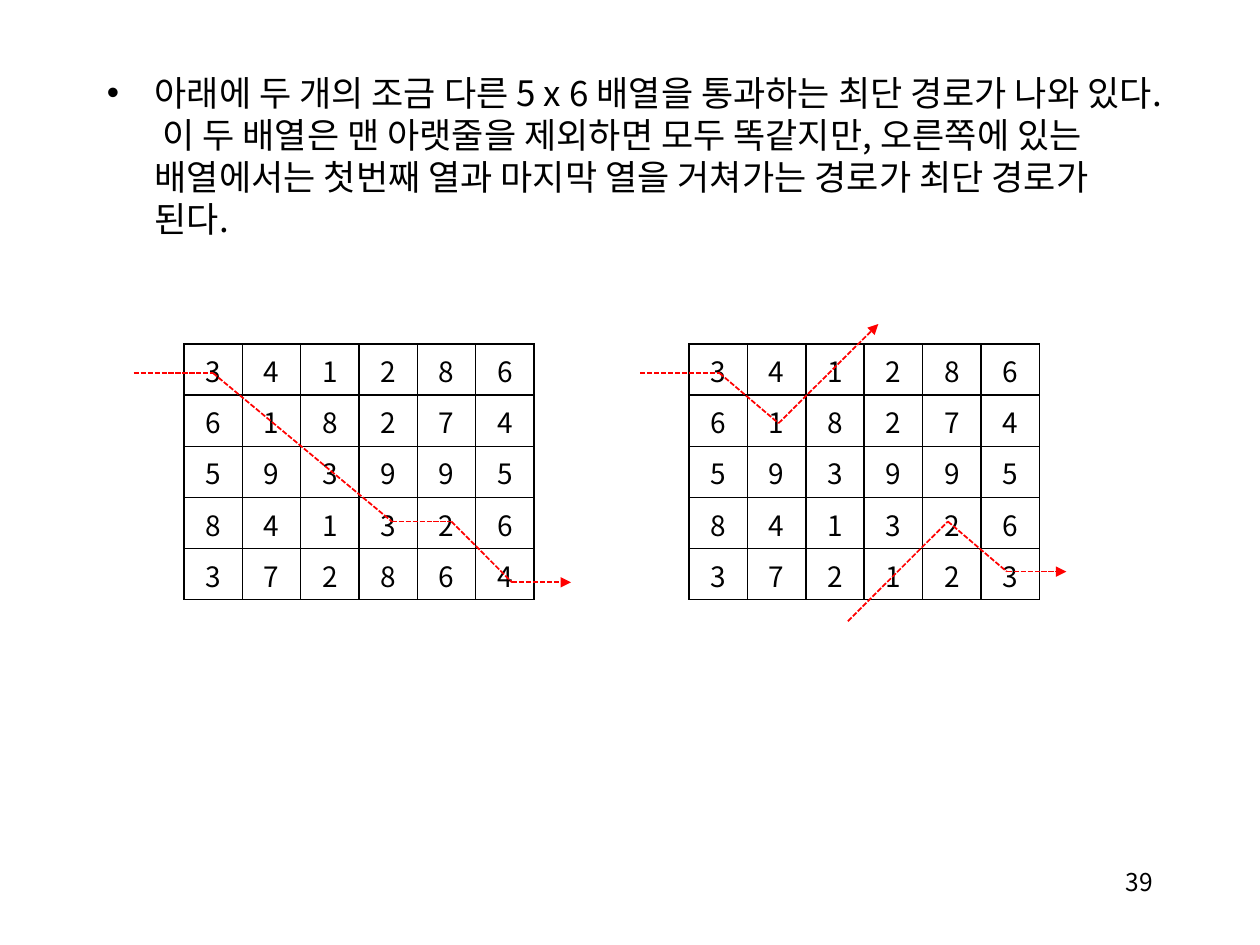
from itertools import pairwise
from lxml.etree import SubElement
from pptx import Presentation
from pptx.dml.color import RGBColor
from pptx.enum.dml import MSO_LINE_DASH_STYLE as Dash
from pptx.enum.shapes import MSO_CONNECTOR_TYPE as Connector
from pptx.enum.text import PP_ALIGN as Align
from pptx.oxml import parse_xml
from pptx.oxml.ns import nsdecls, qn
from pptx.util import Inches, Pt

COLORS = {"ink": "000000", "paper": "FFFFFF", "route": "FF0000"}
FONT = "Noto Sans CJK KR"
COLUMNS, ROWS = 6, 5
GRID_WIDTH, GRID_HEIGHT, GRID_TOP = 2.78, 2.03, 2.73
COLUMN, ROW = GRID_WIDTH / COLUMNS, GRID_HEIGHT / ROWS

presentation = Presentation()
presentation.slide_width = Inches(10)
presentation.slide_height = Inches(7.5)
slide = presentation.slides.add_slide(presentation.slide_layouts[6])


def add_text(paragraph, text, size, align):
    paragraph.alignment = align
    run = paragraph.add_run()
    run.text = text
    run.font.size = Pt(size)
    run.font.name = FONT
    run.font.color.rgb = RGBColor.from_string(COLORS["ink"])
    SubElement(run.font._element, qn("a:ea"), typeface=FONT)


def add_box(left, top, width, height):
    box = slide.shapes.add_textbox(*map(Inches, (left, top, width, height)))
    box.text_frame.word_wrap = True
    return box.text_frame.paragraphs[0]


statement = add_box(0.75, 0.52, 8.5, 6.3)
add_text(
    statement,
    "아래에 두 개의 조금 다른 5 x 6 배열을 통과하는 최단 경로가 나와 있다. "
    "이 두 배열은 맨 아랫줄을 제외하면 모두 똑같지만, 오른쪽에 있는 배열에서는 "
    "첫번째 열과 마지막 열을 거쳐가는 경로가 최단 경로가 된다.",
    20,
    Align.LEFT,
)
statement.line_spacing = Pt(24)
statement.space_before = Pt(4)
properties = statement._p.get_or_add_pPr()
properties.set("marL", str(Inches(0.38)))
properties.set("indent", str(-Inches(0.38)))
SubElement(properties, qn("a:buFont"), typeface="Arial")
SubElement(properties, qn("a:buChar"), char="•")

add_text(add_box(7.17, 6.83, 2.08, 0.5), "39", 14, Align.RIGHT)

shared_rows = ["341286", "618274", "593995", "841326"]
grids = [
    (1.46, "372864", [
        [(-0.86, 0.57), (0.5, 0.57), (3.56, 3.47), (4.58, 3.47), (5.62, 4.66), (6.63, 4.66)],
    ]),
    (5.47, "372123", [
        [(-0.84, 0.57), (0.52, 0.57), (1.53, 1.55), (3.24, -0.39)],
        [(2.72, 5.42), (4.43, 3.47), (5.44, 4.45), (6.46, 4.45)],
    ]),
]

for grid_left, last_row, routes in grids:
    table = slide.shapes.add_table(
        ROWS, COLUMNS, *map(Inches, (grid_left, GRID_TOP, GRID_WIDTH, GRID_HEIGHT))
    ).table
    for row, digits in enumerate(shared_rows + [last_row]):
        for column, digit in enumerate(digits):
            cell = table.cell(row, column)
            add_text(cell.text_frame.paragraphs[0], digit, 16, Align.CENTER)
            cell_properties = cell._tc.get_or_add_tcPr()
            for side in "LRTB":
                cell_properties.append(parse_xml(
                    f'<a:ln{side} {nsdecls("a")} w="{Pt(1)}"><a:solidFill>'
                    f'<a:srgbClr val="{COLORS["ink"]}"/></a:solidFill></a:ln{side}>'
                ))
            cell.fill.solid()
            cell.fill.fore_color.rgb = RGBColor.from_string(COLORS["paper"])

    for route in routes:
        for start, end in pairwise(route):
            ends = [
                Inches(length)
                for x, y in (start, end)
                for length in (grid_left + x * COLUMN, GRID_TOP + y * ROW)
            ]
            segment = slide.shapes.add_connector(Connector.STRAIGHT, *ends)
            segment.line.color.rgb = RGBColor.from_string(COLORS["route"])
            segment.line.width = Pt(1)
            segment.line.dash_style = Dash.SQUARE_DOT
            segment_properties = segment._element.spPr
            SubElement(segment_properties, qn("a:effectLst"))
        if route[-1] == end:
            SubElement(segment_properties.find(qn("a:ln")), qn("a:tailEnd"), type="triangle")

presentation.save("out.pptx")
